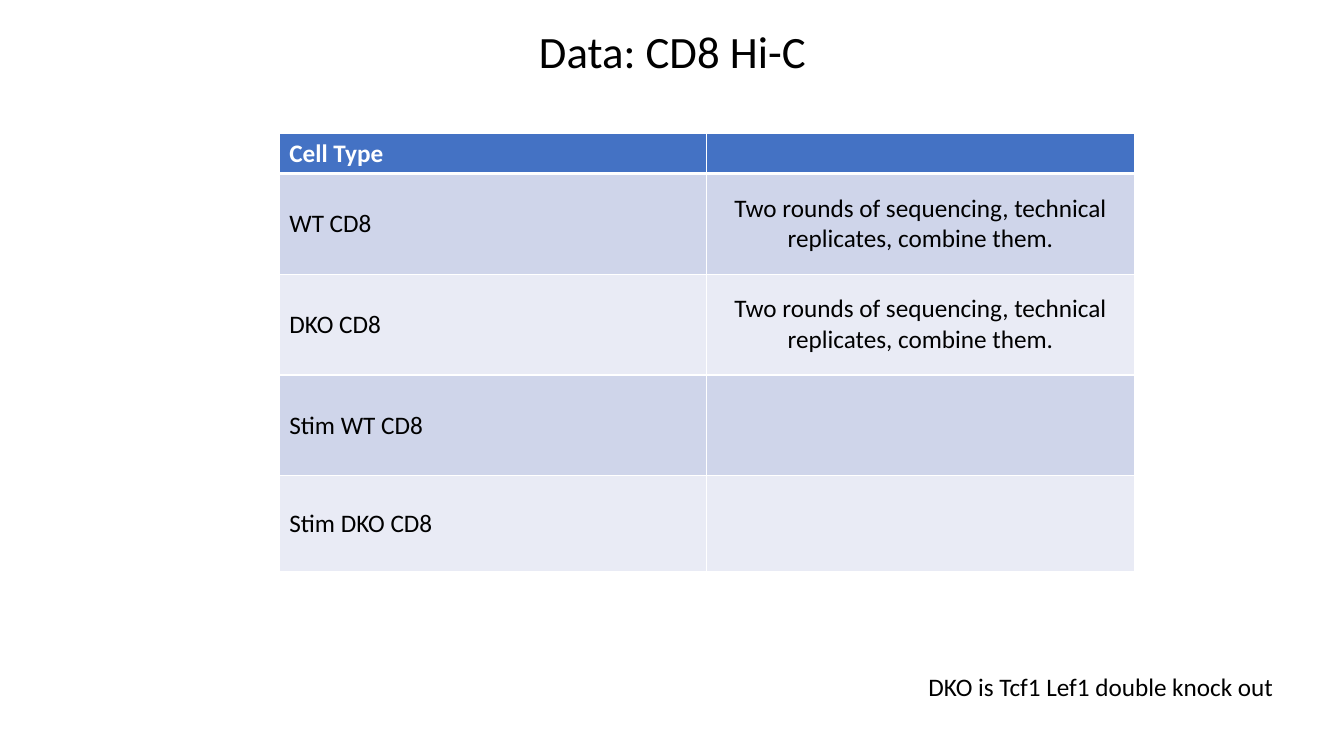
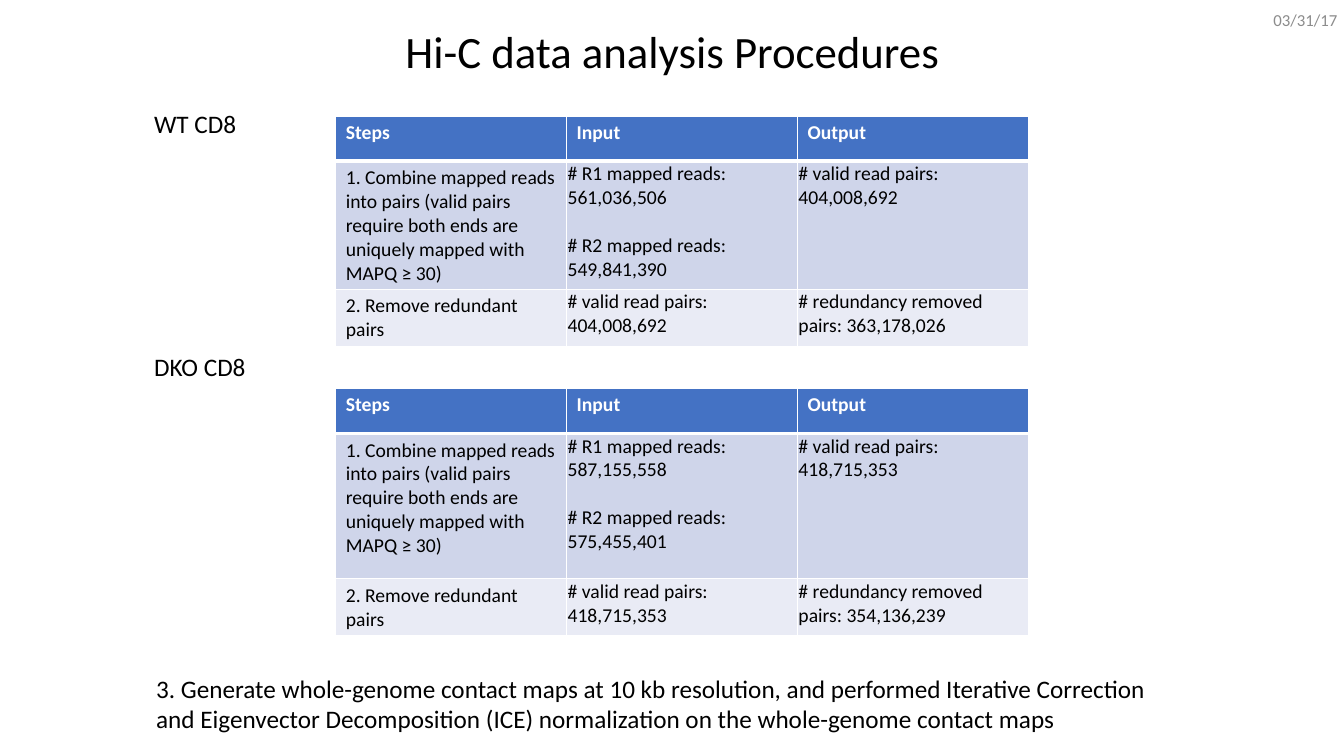
import pptx
import pptx.util
import pptx.dml.color
import pptx.enum.text
import lxml.etree

PX = 9144
FONT = "Calibri"
BLACK, WHITE, GREY = "000000", "FFFFFF", "8C8C8C"
HEADER = "4472C4"
BANDS = ("CFD5EA", "E9EBF5")
ALIGN = pptx.enum.text.PP_ALIGN
ANCHOR = pptx.enum.text.MSO_ANCHOR

REPLICATES = "Two rounds of sequencing, technical replicates, combine them."
CELL_TYPES = [
    ["Cell Type", ""],
    ["WT CD8", REPLICATES],
    ["DKO CD8", REPLICATES],
    ["Stim WT CD8", ""],
    ["Stim DKO CD8", ""],
]
CELL_TYPE_HEIGHTS = [40, 100, 100, 100, 95]

PROCEDURES = [
    {"name": "WT CD8", "label": (143, 103, 103, 40), "top": 115, "heights": [45, 127, 57],
     "reads": ("561,036,506", "549,841,390"), "valid": "404,008,692", "unique": "363,178,026"},
    {"name": "DKO CD8", "label": (143, 344, 112, 40), "top": 385, "heights": [45, 144, 57],
     "reads": ("587,155,558", "575,455,401"), "valid": "418,715,353", "unique": "354,136,239"},
]
COMBINE = ("1. Combine mapped reads into pairs (valid pairs require both ends "
           "are uniquely mapped with MAPQ ≥ 30)")
NORMALIZE = ("3. Generate whole-genome contact maps at 10 kb resolution, and performed "
             "Iterative Correction and Eigenvector Decomposition (ICE) normalization "
             "on the whole-genome contact maps")


def px(value):
    return pptx.util.Emu(value * PX)


def color(code):
    return pptx.dml.color.RGBColor.from_string(code)


def write(frame, text, size, ink=BLACK, bold=False, align=ALIGN.LEFT, gap=0):
    for index, line in enumerate(text.split("\n")):
        para = frame.add_paragraph() if index else frame.paragraphs[0]
        para.text = line
        para.alignment = align
        if index and gap:
            para.space_before = pptx.util.Pt(gap)
        para.font.name = FONT
        para.font.size = pptx.util.Pt(size)
        para.font.bold = bold
        para.font.color.rgb = color(ink)


def add_text(page, place, text, size=18, ink=BLACK, wrap=False,
             align=ALIGN.LEFT, anchor=ANCHOR.TOP):
    frame = page.shapes.add_textbox(*map(px, place)).text_frame
    frame.word_wrap = wrap
    frame.vertical_anchor = anchor
    write(frame, text, size, ink, align=align)
    return frame


def add_page(deck, title):
    page = deck.slides.add_slide(deck.slide_layouts[6])
    frame = add_text(page, (92, 0, 1150, 107), title, 32, wrap=True,
                     align=ALIGN.CENTER, anchor=ANCHOR.MIDDLE)
    frame.paragraphs[0].line_spacing = 0.9
    return page


def add_borders(cell, top, bottom):
    properties = cell._tc.get_or_add_tcPr()
    space = "{http://schemas.openxmlformats.org/drawingml/2006/main}"
    for side, points in (("L", 1), ("R", 1), ("T", top), ("B", bottom)):
        line = lxml.etree.SubElement(properties, space + "ln" + side,
                                     w=str(pptx.util.Pt(points)))
        fill = lxml.etree.SubElement(line, space + "solidFill")
        lxml.etree.SubElement(fill, space + "srgbClr", val=WHITE)


def add_table(page, left, top, column_width, heights, rows, size, style_body):
    columns = len(rows[0])
    table = page.shapes.add_table(
        len(rows), columns, px(left), px(top),
        px(column_width * columns), px(sum(heights))).table
    for column in table.columns:
        column.width = px(column_width)
    for r, (texts, height) in enumerate(zip(rows, heights)):
        table.rows[r].height = px(height)
        for c, text in enumerate(texts):
            cell = table.cell(r, c)
            add_borders(cell, 3 if r == 1 else 1, 1 if r else 3)
            cell.fill.solid()
            cell.fill.fore_color.rgb = color(BANDS[(r - 1) % 2] if r else HEADER)
            write(cell.text_frame, text, size, BLACK if r else WHITE, bold=r == 0, gap=17)
            if r:
                style_body(cell, c)


def center_cell(cell, column):
    cell.vertical_anchor = ANCHOR.MIDDLE
    if column:
        cell.text_frame.paragraphs[0].alignment = ALIGN.CENTER


def tighten_cell(cell, column):
    if column:
        cell.margin_left = cell.margin_right = cell.margin_top = px(1)
        cell.margin_bottom = 0


def procedure_rows(sample):
    reads = "\n".join(f"# R{number} mapped reads: {count}"
                      for number, count in enumerate(sample["reads"], 1))
    valid = f"# valid read pairs: {sample['valid']}"
    unique = f"# redundancy removed pairs: {sample['unique']}"
    return [["Steps", "Input", "Output"],
            [COMBINE, reads, valid],
            ["2. Remove redundant pairs", valid, unique]]


def main():
    deck = pptx.Presentation()
    deck.slide_width, deck.slide_height = px(1333), px(750)

    page = add_page(deck, "Data: CD8 Hi-C")
    add_table(page, 277, 132, 424, CELL_TYPE_HEIGHTS, CELL_TYPES, 18, center_cell)
    add_text(page, (911, 661, 367, 40), "DKO is Tcf1 Lef1 double knock out")

    page = add_page(deck, "Hi-C data analysis Procedures")
    for sample in PROCEDURES:
        add_text(page, sample["label"], sample["name"])
        add_table(page, 333, sample["top"], 229, sample["heights"],
                  procedure_rows(sample), 14, tighten_cell)
    date = add_text(page, (1263, 0, 70, 40), "03/31/17", 12, GREY, anchor=ANCHOR.MIDDLE)
    date.margin_left = date.margin_right = 0
    add_text(page, (145, 663, 1012, 71), NORMALIZE, wrap=True)

    deck.save("out.pptx")


if __name__ == "__main__":
    main()
